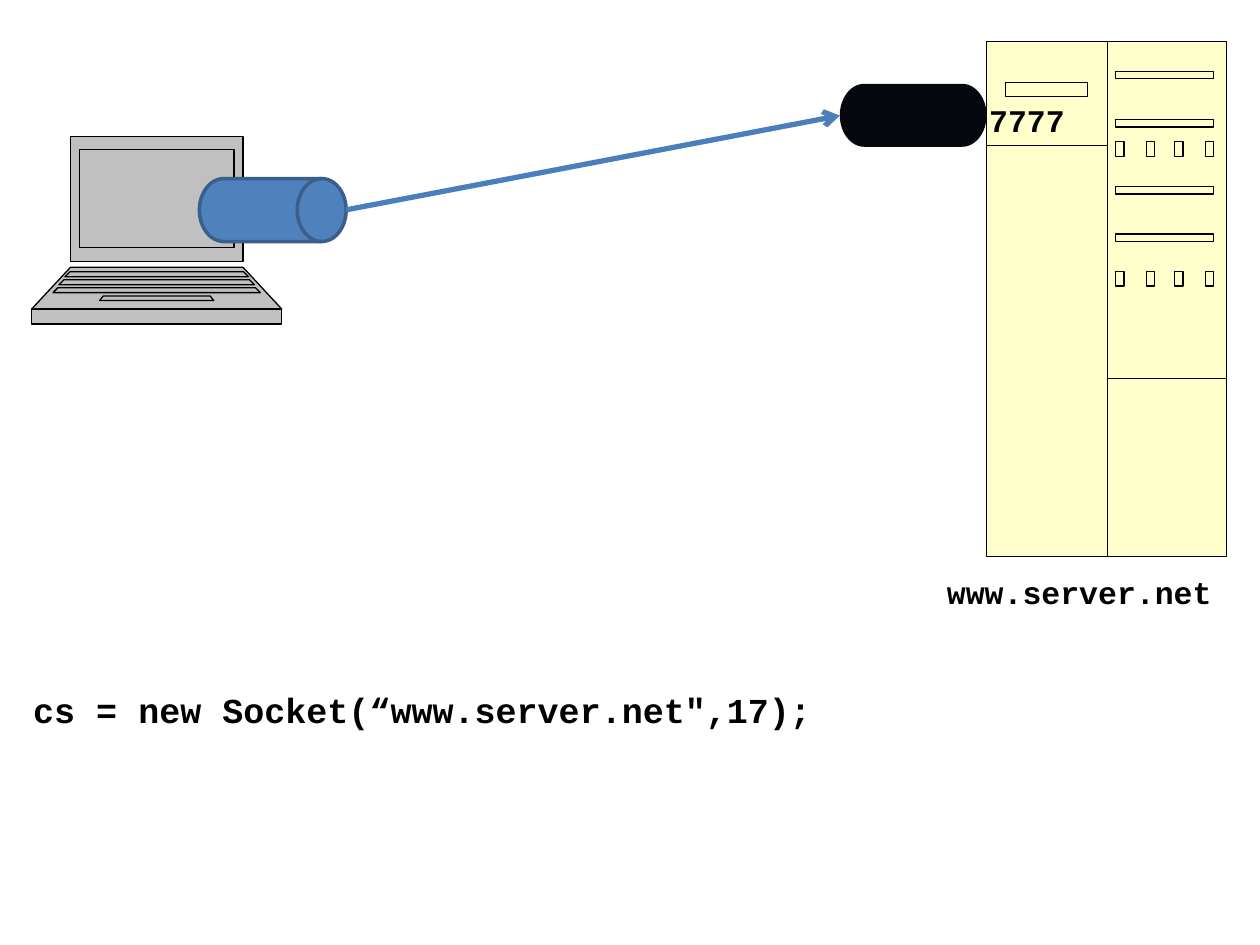
from copy import deepcopy
from dataclasses import dataclass

from pptx import Presentation
from pptx.dml.color import RGBColor
from pptx.enum.shapes import MSO_CONNECTOR as Conn, MSO_SHAPE as Geo
from pptx.enum.text import MSO_AUTO_SIZE as Fit
from pptx.oxml.ns import qn
from pptx.util import Cm, Pt
from lxml.etree import SubElement

BLACK, CREAM, GREY, BLUE, NIGHT = "000000", "FFFFCC", "C0C0C0", "4F81BD", "05080C"
FONT = "Courier New"


@dataclass
class Outline:
    points: list[tuple[float, float]]
    closed: bool = True


@dataclass
class Drum:
    x: float
    y: float
    fill: str
    line: str | None = None


@dataclass
class Label:
    x: float
    y: float
    w: float
    h: float
    text: str
    size: int


def color(value: str) -> RGBColor:
    return RGBColor.from_string(value)


def paint(sp, fill: str, line: str | None, width: float) -> None:
    sp.shadow.inherit = False
    sp.fill.solid()
    sp.fill.fore_color.rgb = color(fill)
    if line is None:
        sp.line.fill.background()
        return
    sp.line.color.rgb = color(line)
    sp.line.width = Pt(width)


def rect(x: float, y: float, w: float, h: float) -> Outline:
    return Outline([(x, y), (x + w, y), (x + w, y + h), (x, y + h)])


def trapezoid(center: float, top: float, bottom: float, half_top: float, half_bottom: float) -> Outline:
    return Outline([
        (center - half_top, top),
        (center - half_bottom, bottom),
        (center + half_bottom, bottom),
        (center + half_top, top),
    ])


def add_freeform(outlines: list[Outline], fill: str, fill_details: bool) -> None:
    builder = None
    for o in outlines:
        points = [(Cm(x), Cm(y)) for x, y in o.points]
        if builder is None:
            builder = s.shapes.build_freeform(*points[0])
        else:
            builder.move_to(*points[0])
        builder.add_line_segments(points[1:], close=o.closed)
    sp = builder.convert_to_shape()
    paint(sp, fill, BLACK, 0.75)
    body = sp._element.spPr.find(".//" + qn("a:path"))
    details = deepcopy(body)
    for step in list(details):
        details.remove(step)
    if not fill_details:
        details.set("fill", "none")
    target = body
    for i, step in enumerate(list(body)):
        if i and step.tag == qn("a:moveTo") and (fill_details or target is body):
            target = deepcopy(details)
            body.getparent().append(target)
        if target is not body:
            target.append(step)


def add_server() -> None:
    left, middle, right, top, bottom = 19.89, 22.33, 24.72, 0.84, 11.22
    outlines = [
        rect(left, top, right - left, bottom - top),
        rect(20.27, 1.67, 1.65, 0.28),
        Outline([(left, 2.94), (middle, 2.94), (middle, 7.63), (right, 7.63)], False),
        Outline([(middle, top), (middle, bottom)], False),
    ]
    for slot_top in (1.44, 2.41, 3.76, 4.72):
        outlines.append(rect(22.49, slot_top, 1.97, 0.15))
    for button_top in (2.86, 5.47):
        for x in (22.49, 23.11, 23.68, 24.3):
            outlines.append(rect(x, button_top, 0.17, 0.3))
    add_freeform(outlines, CREAM, False)


def add_laptop() -> None:
    center = 3.16
    outlines = [
        rect(1.42, 2.75, 3.48, 2.52),
        trapezoid(center, 5.39, 6.23, 1.74, 2.52),
        rect(0.64, 6.23, 5.03, 0.3),
        rect(1.6, 3.02, 3.12, 1.97),
        trapezoid(center, 5.97, 6.06, 1.08, 1.15),
    ]
    for row in range(3):
        top, half = 5.48 + row * 0.16, 1.75 + row * 0.12
        outlines.append(trapezoid(center, top, top + 0.1, half, half + 0.1))
    add_freeform(outlines, GREY, True)


def add_drum(d: Drum) -> None:
    sp = s.shapes.add_shape(Geo.FLOWCHART_DIRECT_ACCESS_STORAGE, Cm(d.x), Cm(d.y), Cm(2.96), Cm(1.27))
    paint(sp, d.fill, d.line, 2)


def add_arrow(x1: float, y1: float, x2: float, y2: float) -> None:
    c = s.shapes.add_connector(Conn.STRAIGHT, Cm(x1), Cm(y1), Cm(x2), Cm(y2))
    c.line.color.rgb = color("4B7EBC")
    c.line.width = Pt(3)
    SubElement(c.line._get_or_add_ln(), qn("a:tailEnd"), type="arrow")
    SubElement(c._element.spPr, qn("a:effectLst"))


def add_label(label: Label) -> None:
    box = s.shapes.add_textbox(Cm(label.x), Cm(label.y), Cm(label.w), Cm(label.h))
    tf = box.text_frame
    tf.word_wrap = True
    tf.auto_size = Fit.SHAPE_TO_FIT_TEXT
    p = tf.paragraphs[0]
    p.text = label.text
    p.font.name = FONT
    p.font.size = Pt(label.size)
    p.font.bold = True
    p.font.color.rgb = color(BLACK)


prs = Presentation()
prs.slide_width, prs.slide_height = Cm(25.4), Cm(19.05)
s = prs.slides.add_slide(prs.slide_layouts[6])

add_server()
add_laptop()
for drum in (Drum(16.93, 1.69, NIGHT), Drum(4.02, 3.6, BLUE, "3A5F8C")):
    add_drum(drum)
add_arrow(6.98, 4.23, 16.93, 2.33)

for label in (
    Label(18.84, 11.43, 5.93, 1.03, "www.server.net", 18),
    Label(19.69, 1.91, 3.18, 1.03, "7777", 18),
    Label(0.42, 13.76, 18.2, 1.11, "cs = new Socket(“www.server.net\",17);", 20),
):
    add_label(label)

prs.save("out.pptx")
